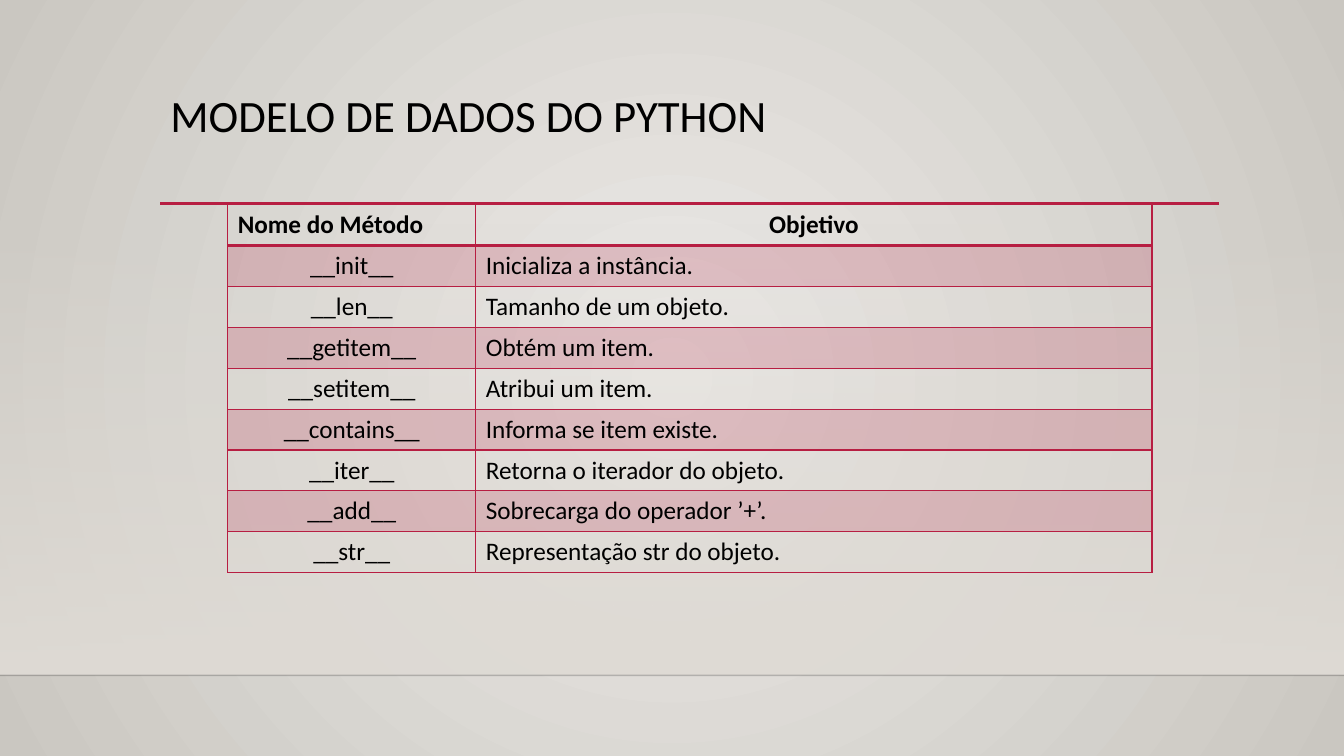
import dataclasses

import lxml.etree
import pptx
import pptx.dml.color
import pptx.enum.shapes
import pptx.enum.text
import pptx.oxml
import pptx.oxml.ns
import pptx.util

Cm = pptx.util.Cm
Pt = pptx.util.Pt
qn = pptx.oxml.ns.qn
ALIGN = pptx.enum.text.PP_ALIGN


@dataclasses.dataclass(frozen=True)
class Theme:
    accent: str = "B71E42"
    text: str = "000000"
    floor_line: str = "000001"
    wall: str = "DFDBD5"
    background_center: str = "ECEAE7"
    background_edge: str = "CAC7C1"
    font: str = "Calibri"
    title_size: int = 32
    table_size: int = 18
    band_opacity: int = 20


THEME = Theme()

METHODS = [
    ("__init__", "Inicializa a instância."),
    ("__len__", "Tamanho de um objeto."),
    ("__getitem__", "Obtém um item."),
    ("__setitem__", "Atribui um item."),
    ("__contains__", "Informa se item existe."),
    ("__iter__", "Retorna o iterador do objeto."),
    ("__add__", "Sobrecarga do operador ’+’."),
    ("__str__", "Representação str do objeto."),
]


def rgb(color):
    return pptx.dml.color.RGBColor.from_string(color)


def set_opacity(color_element, percent):
    alpha = lxml.etree.SubElement(color_element, qn("a:alpha"))
    alpha.set("val", str(percent * 1000))


def set_gradient(fill, first, last):
    fill.gradient()
    for stop, color, position in zip(fill.gradient_stops, (first, last), (0, 1)):
        stop.color.rgb = rgb(color)
        stop.position = position


def style_paragraph(paragraph, size, alignment=ALIGN.LEFT, bold=False):
    paragraph.alignment = alignment
    font = paragraph.font
    font.name, font.size, font.bold = THEME.font, Pt(size), bold
    font.color.rgb = rgb(THEME.text)


def paint_background(slide):
    set_gradient(slide.background.fill, THEME.background_center, THEME.background_edge)
    linear = next(slide.element.iter(qn("a:lin")))
    radial = pptx.oxml.parse_xml(
        f'<a:path {pptx.oxml.ns.nsdecls("a")} path="circle">'
        '<a:fillToRect l="50000" t="50000" r="50000" b="50000"/></a:path>')
    linear.getparent().replace(linear, radial)


def add_wall(slide, left, top, width, height):
    """Rectangle that fades in from clear at its top."""
    shape = slide.shapes.add_shape(
        pptx.enum.shapes.MSO_SHAPE.RECTANGLE, left, top, width, height)
    shape.shadow.inherit = False
    shape.line.fill.background()
    set_gradient(shape.fill, THEME.wall, THEME.wall)
    shape.fill.gradient_angle = 270
    set_opacity(next(shape.element.iter(qn("a:srgbClr"))), 0)


def add_rule(slide, left, right, y, color, weight, opacity=100):
    line = slide.shapes.add_connector(
        pptx.enum.shapes.MSO_CONNECTOR.STRAIGHT, left, y, right, y)
    line.line.color.rgb = rgb(color)
    line.line.width = Pt(weight)
    if opacity < 100:
        set_opacity(next(line.element.iter(qn("a:srgbClr"))), opacity)
    lxml.etree.SubElement(line.element.spPr, qn("a:effectLst"))


def set_title(slide, text):
    title = slide.shapes.title
    title.left, title.top, title.width, title.height = Cm(4.04), Cm(2.24), Cm(26.67), Cm(2.92)
    frame = title.text_frame
    frame.text = text
    frame.word_wrap = True
    frame.auto_size = pptx.enum.text.MSO_AUTO_SIZE.NONE
    frame.vertical_anchor = pptx.enum.text.MSO_ANCHOR.TOP
    paragraph = frame.paragraphs[0]
    style_paragraph(paragraph, THEME.title_size)
    paragraph.line_spacing = 0.9


def set_borders(cell, bottom_weight):
    properties = cell._tc.get_or_add_tcPr()
    for side, weight in (("L", 1), ("R", 1), ("T", 1), ("B", bottom_weight)):
        properties.append(pptx.oxml.parse_xml(
            f'<a:ln{side} {pptx.oxml.ns.nsdecls("a")} w="{Pt(weight)}"><a:solidFill>'
            f'<a:srgbClr val="{THEME.accent}"/></a:solidFill></a:ln{side}>'))


def fill_cell(cell, text, alignment, header, banded):
    cell.text = text
    style_paragraph(cell.text_frame.paragraphs[0], THEME.table_size, alignment, header)
    # Borders come before the fill in the cell properties
    set_borders(cell, 2 if header else 1)
    if banded:
        cell.fill.solid()
        cell.fill.fore_color.rgb = rgb(THEME.accent)
        set_opacity(cell._tc.tcPr.find(f"{qn('a:solidFill')}/{qn('a:srgbClr')}"),
                    THEME.band_opacity)
    else:
        cell.fill.background()


def add_method_table(slide, left, top, column_widths, row_height):
    rows = [("Nome do Método", "Objetivo")] + METHODS
    table = slide.shapes.add_table(
        len(rows), len(column_widths), left, top,
        sum(column_widths), row_height * len(rows)).table
    table.first_row = table.horz_banding = False
    for column, width in zip(table.columns, column_widths):
        column.width = width
    for index, texts in enumerate(rows):
        table.rows[index].height = row_height
        header = index == 0
        alignments = (ALIGN.LEFT, ALIGN.CENTER) if header else (ALIGN.CENTER, ALIGN.JUSTIFY)
        for cell, text, alignment in zip(table.rows[index].cells, texts, alignments):
            fill_cell(cell, text, alignment, header, banded=index % 2 == 1)


def main():
    presentation = pptx.Presentation()
    presentation.slide_width, presentation.slide_height = Cm(33.87), Cm(19.05)
    slide = presentation.slides.add_slide(presentation.slide_layouts[5])

    # Backdrop: wall, floor edge and title rule
    paint_background(slide)
    add_wall(slide, 0, Cm(5.61), presentation.slide_width, Cm(11.4))
    add_rule(slide, 0, presentation.slide_width, Cm(17.02), THEME.floor_line, 1, opacity=20)
    add_rule(slide, Cm(4.04), Cm(30.73), Cm(5.13), THEME.accent, 2.5)

    # Content
    set_title(slide, "MODELO DE DADOS DO PYTHON")
    add_method_table(slide, Cm(5.74), Cm(5.16), (Cm(6.25), Cm(17.04)), Cm(1.03))

    presentation.save("out.pptx")


if __name__ == "__main__":
    main()
